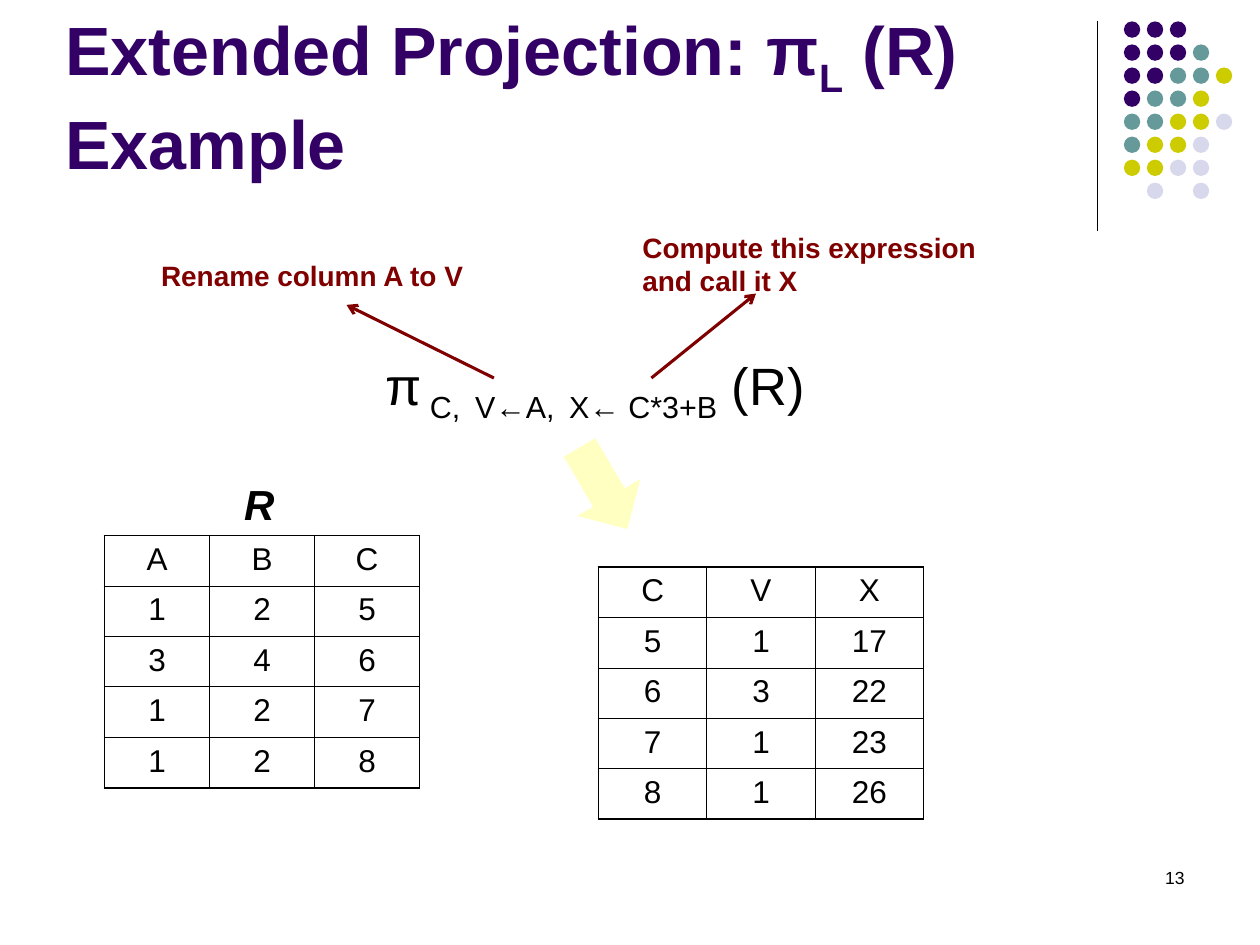
from lxml.etree import SubElement
from pptx import Presentation
from pptx.dml.color import RGBColor
from pptx.enum.shapes import MSO_CONNECTOR, MSO_SHAPE
from pptx.enum.text import MSO_ANCHOR, PP_ALIGN
from pptx.oxml.ns import qn
from pptx.util import Inches, Pt

BLACK = RGBColor(0x00, 0x00, 0x00)
PURPLE = RGBColor(0x33, 0x00, 0x66)
TEAL = RGBColor(0x66, 0x99, 0x99)
OLIVE = RGBColor(0xCC, 0xCC, 0x00)
LILAC = RGBColor(0xD8, 0xD8, 0xEC)
MAROON = RGBColor(0x80, 0x00, 0x00)
CREAM = RGBColor(0xFF, 0xFF, 0xC2)

DOT_COLORS = {"P": PURPLE, "T": TEAL, "O": OLIVE, "L": LILAC}
DOT_ROWS = ["PPP", "PPPT", "PPTTO", "PTTO", "TTOOL", "TOOL", "OOLL", " L L"]
SUBSCRIPT = "-25000"
THICK, THIN = 1.08, 0.45


def add_span(para, text, size, color=BLACK, bold=False, italic=False, subscript=False):
    span = para.add_run()
    span.text = text
    font = span.font
    font.name = "Arial"
    font.size = Pt(size)
    font.color.rgb = color
    font.bold = bold
    font.italic = italic
    if subscript:
        span.font._element.set("baseline", SUBSCRIPT)


def add_box(page, left, top, width, height, wrap=True):
    box = page.shapes.add_textbox(Inches(left), Inches(top), Inches(width), Inches(height))
    box.text_frame.word_wrap = wrap
    return box.text_frame


def add_label(page, box, text, size, color=BLACK, bold=True, italic=False,
              wrap=True, align=PP_ALIGN.LEFT):
    para = add_box(page, *box, wrap=wrap).paragraphs[0]
    para.alignment = align
    add_span(para, text, size, color, bold, italic)


def add_line(page, start, end, color, width, arrow=False):
    points = [Inches(value) for value in (*start, *end)]
    line = page.shapes.add_connector(MSO_CONNECTOR.STRAIGHT, *points)
    line.line.color.rgb = color
    line.line.width = Pt(width)
    properties = line._element.spPr
    if arrow:
        SubElement(properties.find(qn("a:ln")), qn("a:tailEnd"), type="arrow")
    SubElement(properties, qn("a:effectLst"))


def add_filled_shape(page, kind, left, top, width, height, color):
    shape = page.shapes.add_shape(kind, Inches(left), Inches(top), Inches(width), Inches(height))
    shape.shadow.inherit = False
    shape.fill.solid()
    shape.fill.fore_color.rgb = color
    shape.line.fill.background()
    return shape


def add_dot_pattern(page, left, top, width, height):
    size = 0.13
    column_step = (width - size) / 4
    row_step = (height - size) / (len(DOT_ROWS) - 1)
    for row, codes in enumerate(DOT_ROWS):
        for column, code in enumerate(codes):
            if code in DOT_COLORS:
                add_filled_shape(page, MSO_SHAPE.OVAL, left + column * column_step,
                                 top + row * row_step, size, size, DOT_COLORS[code])


def add_title(page, left, top, width, height):
    frame = add_box(page, left, top, width, height)
    frame.vertical_anchor = MSO_ANCHOR.BOTTOM
    para = frame.paragraphs[0]
    add_span(para, "Extended Projection: π", 39, PURPLE, bold=True)
    add_span(para, "L", 39, PURPLE, bold=True, subscript=True)
    add_span(para, " (R)", 39, PURPLE, bold=True)
    para.add_line_break()
    add_span(para, "Example", 39, PURPLE, bold=True)


def add_formula(page, left, top, width, height):
    para = add_box(page, left, top, width, height, wrap=False).paragraphs[0]
    add_span(para, "π", 30)
    for term in (" C,", "V←A,", "X← C*3+B"):
        add_span(para, term, 30, subscript=True)
        add_span(para, " ", 30)
    add_span(para, "(R)", 30)


def add_callouts(page):
    add_label(page, (1.18, 2, 2.61, 0.37), "Rename column A to V", 16, MAROON, wrap=False)
    add_line(page, (3.92, 3), (2.75, 2.42), MAROON, 1.75, arrow=True)
    add_label(page, (5, 1.78, 3.08, 0.64), "Compute this expression and call it X", 16, MAROON)
    add_line(page, (5.17, 3), (6, 2.33), MAROON, 1.75, arrow=True)


def set_borders(cell, widths):
    properties = cell._tc.get_or_add_tcPr()
    for position, (side, width) in enumerate(widths.items()):
        line = SubElement(properties, qn(f"a:{side}"), w=str(Pt(width)))
        fill = SubElement(line, qn("a:solidFill"))
        SubElement(fill, qn("a:srgbClr"), val=str(BLACK))
        properties.insert(position, line)


def add_relation(page, left, top, width, height, rows, right_edge=THICK):
    last_row, last_column = len(rows) - 1, len(rows[0]) - 1
    table = page.shapes.add_table(len(rows), len(rows[0]), Inches(left), Inches(top),
                                  Inches(width), Inches(height)).table
    table.first_row = False
    table.horz_banding = False
    for row, values in enumerate(rows):
        for column, value in enumerate(values):
            cell = table.cell(row, column)
            cell.fill.background()
            para = cell.text_frame.paragraphs[0]
            para.alignment = PP_ALIGN.CENTER
            add_span(para, value, 18)
            set_borders(cell, {
                "lnL": THICK if column == 0 else THIN,
                "lnR": right_edge if column == last_column else THIN,
                "lnT": THICK if row == 0 else THIN,
                "lnB": THICK if row == last_row else THIN,
            })


def build_slide(deck):
    page = deck.slides.add_slide(deck.slide_layouts[6])
    add_line(page, (8.71, 0.17), (8.71, 1.83), BLACK, 0.75)
    add_dot_pattern(page, 8.92, 0.17, 0.86, 1.41)
    add_title(page, 0.42, 0.3, 8.25, 1.2)
    add_formula(page, 2.96, 2.75, 3.58, 0.67)
    add_label(page, (7.17, 6.83, 2.33, 0.5), "13", 10, bold=False, align=PP_ALIGN.RIGHT)
    add_relation(page, 0.83, 4.25, 2.5, 2, ["ABC", "125", "346", "127", "128"])
    add_label(page, (1.84, 3.75, 0.44, 0.5), "R", 24, italic=True, wrap=False)
    projected = [("C", "V", "X"), ("5", "1", "17"), ("6", "3", "22"),
                 ("7", "1", "23"), ("8", "1", "26")]
    add_relation(page, 4.75, 4.5, 2.58, 2, projected, right_edge=THIN)
    arrow = add_filled_shape(page, MSO_SHAPE.DOWN_ARROW, 4.5, 3.5, 0.58, 0.75, CREAM)
    arrow.rotation = 329.6
    add_callouts(page)


def main():
    deck = Presentation()
    deck.slide_width = Inches(10)
    deck.slide_height = Inches(7.5)
    build_slide(deck)
    deck.save("out.pptx")


if __name__ == "__main__":
    main()
